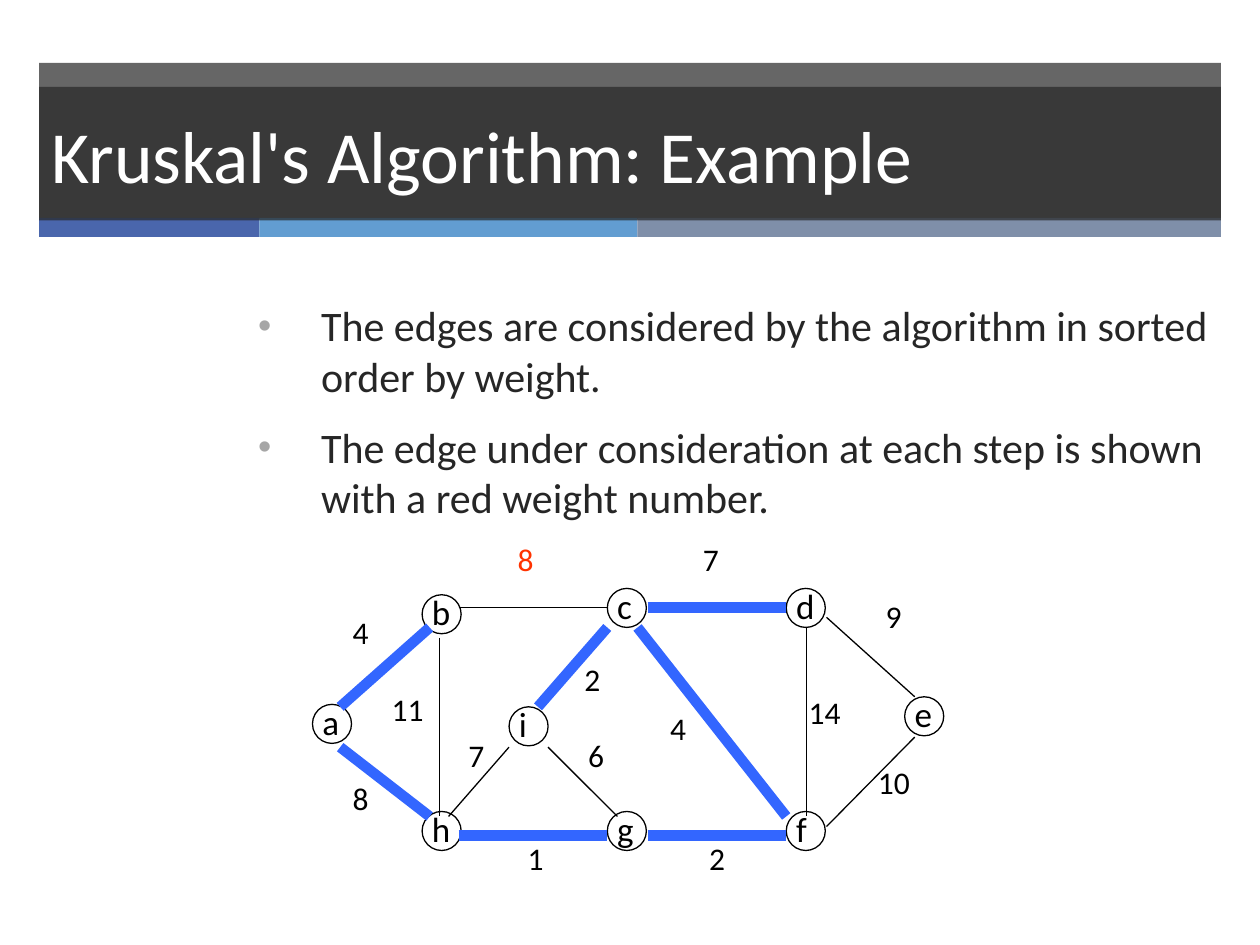
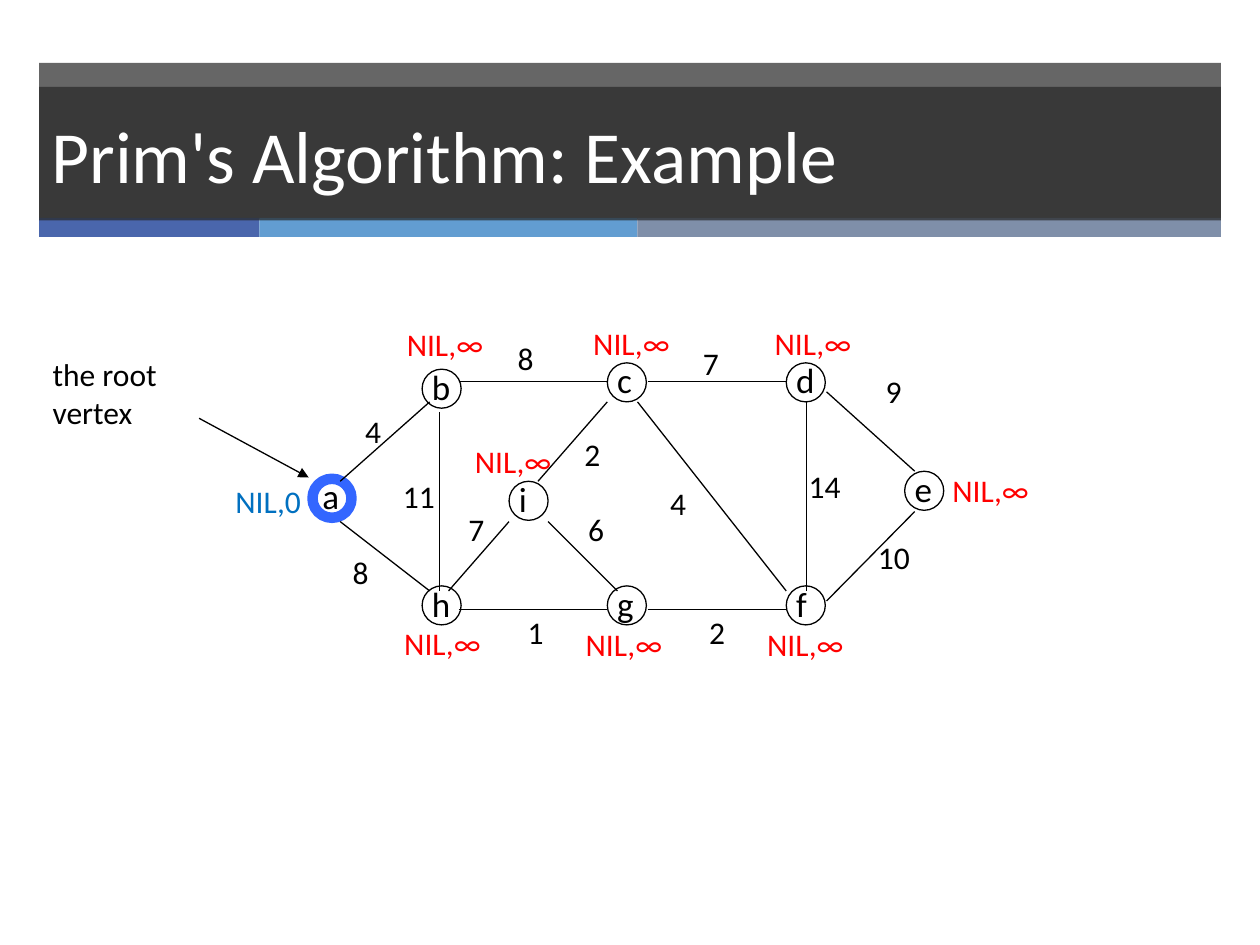
import pptx
import pptx.util
import pptx.dml.color
import pptx.enum.shapes
import pptx.enum.text
import pptx.oxml.ns
from lxml import etree

Inches, Pt = pptx.util.Inches, pptx.util.Pt
SHAPE = pptx.enum.shapes.MSO_SHAPE
qn = pptx.oxml.ns.qn

FONT = "Calibri"
COLORS = {
    "band": "262626", "blue": "4A66AC", "sky": "629DD1", "slate": "7F8FA9",
    "title": "FFFFFF", "body": "262626", "bullet": "A6A6A6", "ink": "000000",
    "chosen": "3366FF", "current": "FF3300", "nil": "FF0000", "root": "0070C0",
}
STRIPES = [("blue", 0.31, 1.75), ("sky", 2.06, 3), ("slate", 5.06, 4.63)]

BULLETS = [
    "The edges are considered by the algorithm in sorted order by weight.",
    "The edge under consideration at each step is shown with a red weight number.",
]

NODE_SIZE = 0.31
NODES = {
    "a": (2.46, 0.92, 0.32), "b": (3.33, 0.05, 0.34), "h": (3.33, 1.77, 0.34),
    "c": (4.8, 0, 0.32), "d": (6.22, 0, 0.34), "e": (7.16, 0.86, 0.32),
    "f": (6.22, 1.77, 0.29), "g": (4.8, 1.77, 0.34), "i": (4.02, 0.94, 0.32),
}
EDGES = {
    "ab": (2.7, 1.02, 3.41, 0.39), "ah": (2.7, 1.34, 3.41, 1.89),
    "bh": (3.49, 0.47, 3.49, 1.89), "bc": (3.64, 0.23, 4.82, 0.23),
    "hg": (3.64, 2.04, 4.82, 2.04), "gf": (5.14, 2.04, 6.24, 2.04),
    "cf": (5.06, 0.39, 6.24, 1.89), "cd": (5.14, 0.23, 6.24, 0.23),
    "df": (6.4, 0.39, 6.4, 1.89), "de": (6.56, 0.31, 7.26, 0.94),
    "fe": (6.56, 1.97, 7.26, 1.26), "ig": (4.35, 1.34, 4.9, 1.89),
    "hi": (3.56, 1.89, 4.04, 1.34), "ic": (4.27, 1.02, 4.82, 0.39),
}
WEIGHTS = {
    "ab": ("4", 2.7, 0.23), "ah": ("8", 2.7, 1.54), "bh": ("11", 3.01, 0.84),
    "bc": ("8", 4.01, -0.35), "hg": ("1", 4.09, 2.02), "gf": ("2", 5.53, 2.02),
    "cf": ("4", 5.22, 0.99), "cd": ("7", 5.48, -0.35), "df": ("14", 6.32, 0.86),
    "de": ("9", 6.93, 0.1), "fe": ("10", 6.87, 1.42), "ig": ("6", 4.57, 1.2),
    "hi": ("7", 3.62, 1.2), "ic": ("2", 4.54, 0.6),
}
PRIM_WEIGHTS = WEIGHTS | {
    "ab": ("4", 2.8, 0.42), "bh": ("11", 3.1, 0.94),
    "bc": ("8", 4.01, -0.16), "cd": ("7", 5.48, -0.12),
}
KRUSKAL_TREE = {"ab", "ah", "hg", "gf", "cf", "cd", "ic"}
NIL_LABELS = [
    (3.13, 2.53), (3.11, 4.9), (4.61, 2.52), (6.05, 2.52),
    (4.55, 4.91), (5.99, 4.91), (7.46, 3.69), (3.67, 3.46),
]


def rgb(name):
    return pptx.dml.color.RGBColor.from_string(COLORS[name])


def fill(sp, color, alpha=None):
    sp.fill.solid()
    sp.fill.fore_color.rgb = rgb(color)
    if alpha:
        clr = sp._element.spPr.find(qn("a:solidFill"))[0]
        etree.SubElement(clr, qn("a:alpha"), val=str(alpha * 1000))


def write(tf, text, size=18, color="ink", wrap=False, after=0, bullet=False):
    tf.word_wrap = wrap
    tf.auto_size = pptx.enum.text.MSO_AUTO_SIZE.NONE
    for i, line in enumerate([text] if isinstance(text, str) else text):
        p = tf.paragraphs[0] if i == 0 else tf.add_paragraph()
        p.alignment = pptx.enum.text.PP_ALIGN.LEFT
        p.space_after = Pt(after)
        r = p.add_run()
        r.text = line
        r.font.name, r.font.size = FONT, Pt(size)
        r.font.color.rgb = rgb(color)
        if bullet:
            pPr = p._p.get_or_add_pPr()
            pPr.set("marL", str(Inches(0.5)))
            pPr.set("indent", str(Inches(-0.5)))
            clr = etree.SubElement(pPr, qn("a:buClr"))
            etree.SubElement(clr, qn("a:srgbClr"), val=COLORS["bullet"])
            etree.SubElement(pPr, qn("a:buSzPct"), val="90000")
            etree.SubElement(pPr, qn("a:buFont"), typeface="Arial")
            etree.SubElement(pPr, qn("a:buChar"), char="•")


def add_text(s, text, x, y, w, h, **fmt):
    sp = s.shapes.add_textbox(Inches(x), Inches(y), Inches(w), Inches(h))
    write(sp.text_frame, text, **fmt)


def add_rect(s, x, y, w, h, color, alpha=None):
    sp = s.shapes.add_shape(SHAPE.RECTANGLE, Inches(x), Inches(y), Inches(w), Inches(h))
    sp.shadow.inherit = False
    sp.line.fill.background()
    fill(sp, color, alpha)


def add_line(s, x1, y1, x2, y2, color="ink", width=0.75, arrow=False):
    c = s.shapes.add_connector(pptx.enum.shapes.MSO_CONNECTOR.STRAIGHT,
                               Inches(x1), Inches(y1), Inches(x2), Inches(y2))
    c.line.color.rgb = rgb(color)
    c.line.width = Pt(width)
    if arrow:
        etree.SubElement(c.line._get_or_add_ln(), qn("a:tailEnd"), type="triangle")
    etree.SubElement(c._element.spPr, qn("a:effectLst"))


def add_slide(prs, title):
    s = prs.slides.add_slide(prs.slide_layouts[5])
    add_rect(s, 0.31, 0.5, 9.38, 1.24, "band", 70)
    for color, x, w in STRIPES:
        add_rect(s, x, 1.73, w, 0.15, color)
    sp = s.shapes.title
    sp._element.getparent().append(sp._element)
    sp.left, sp.top, sp.width, sp.height = map(Inches, (0.31, 0.69, 9.38, 1.06))
    fill(sp, "band", 70)
    sp.text_frame.vertical_anchor = pptx.enum.text.MSO_ANCHOR.MIDDLE
    write(sp.text_frame, title, size=42, color="title", wrap=True)
    return s


def add_graph(s, top, weights, tree=(), current=None, root=None):
    for name, (x, y, w) in NODES.items():
        add_text(s, name, x, top + y, w, 0.43, size=20)
        sp = s.shapes.add_shape(SHAPE.OVAL, Inches(x + 0.02), Inches(top + y + 0.08),
                                Inches(NODE_SIZE), Inches(NODE_SIZE))
        sp.shadow.inherit = False
        sp.fill.background()
        sp.line.color.rgb = rgb("chosen" if name == root else "ink")
        sp.line.width = Pt(6 if name == root else 0.75)
    for edge, (x1, y1, x2, y2) in EDGES.items():
        style = {"color": "chosen", "width": 6} if edge in tree else {}
        add_line(s, x1, top + y1, x2, top + y2, **style)
    for edge, (text, x, y) in weights.items():
        add_text(s, text, x, top + y, 0.21 + 0.16 * len(text), 0.5,
                 color="current" if edge == current else "ink")


def main():
    prs = pptx.Presentation()
    prs.slide_width, prs.slide_height = Inches(10), Inches(7.5)

    s = add_slide(prs, "Kruskal's Algorithm: Example")
    add_text(s, BULLETS, 1.95, 2.33, 7.74, 4.37, size=24, color="body",
             wrap=True, after=12, bullet=True)
    add_graph(s, 4.59, WEIGHTS, tree=KRUSKAL_TREE, current="bc")

    s = add_slide(prs, "Prim's Algorithm: Example")
    add_graph(s, 2.8, PRIM_WEIGHTS, root="a")
    add_text(s, "the root vertex", 0.32, 2.77, 1.34, 0.9, wrap=True)
    add_line(s, 1.58, 3.32, 2.45, 3.79, arrow=True)
    for x, y in NIL_LABELS:
        add_text(s, "NIL,∞", x, y, 0.82, 0.4, color="nil")
    add_text(s, "NIL,0", 1.77, 3.78, 0.73, 0.4, color="root")

    prs.save("out.pptx")


if __name__ == "__main__":
    main()
